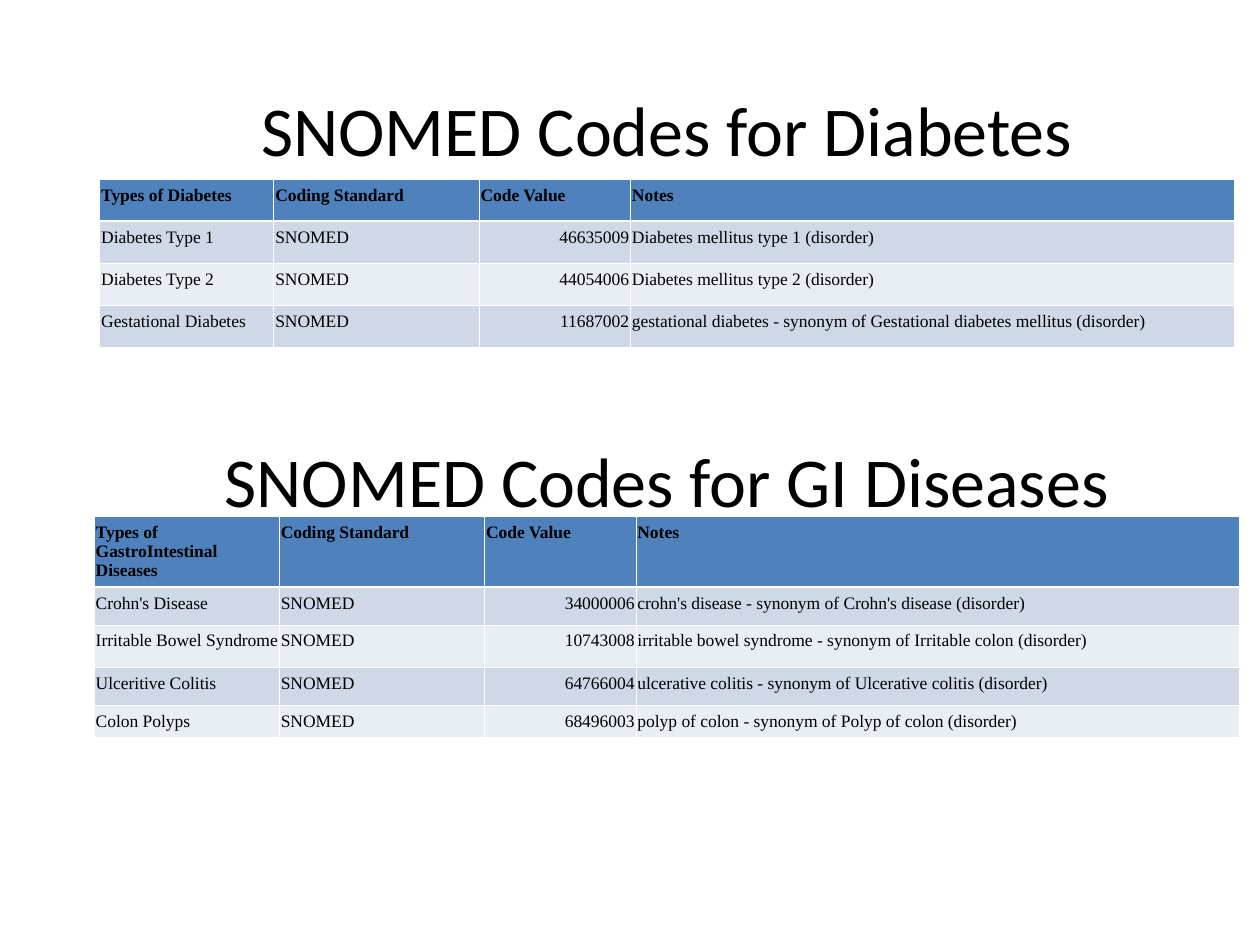
from dataclasses import dataclass

from lxml.etree import SubElement
from pptx import Presentation
from pptx.dml.color import RGBColor
from pptx.enum.text import MSO_ANCHOR, MSO_AUTO_SIZE, PP_ALIGN
from pptx.oxml.ns import qn
from pptx.util import Cm, Pt

BLACK = RGBColor(0x00, 0x00, 0x00)
WHITE = RGBColor(0xFF, 0xFF, 0xFF)
BLUE = RGBColor(0x4F, 0x81, 0xBD)
BANDS = (RGBColor(0xE9, 0xED, 0xF4), RGBColor(0xD0, 0xD8, 0xE8))
THIN, THICK = Pt(0.45), Pt(1.47)
HEADS = ("Coding Standard", "Code Value", "Notes")
SYSTEM = "SNOMED"
CODE_COL = 2
WIDTHS = (4.14, 3.05, 12.17)


@dataclass
class Code:
    name: str
    value: str
    note: str


@dataclass
class Group:
    title: str
    top: float
    head: str
    left: float
    grid_top: float
    first: float
    heights: tuple[float, ...]
    codes: list[Code]


GROUPS = [
    Group("SNOMED Codes for Diabetes", 2.03, "Types of Diabetes",
          2.01, 3.61, 3.51, (0.85,) * 4, [
              Code("Diabetes Type 1", "46635009", "Diabetes mellitus type 1 (disorder)"),
              Code("Diabetes Type 2", "44054006", "Diabetes mellitus type 2 (disorder)"),
              Code("Gestational Diabetes", "11687002",
                   "gestational diabetes - synonym of Gestational diabetes mellitus (disorder)"),
          ]),
    Group("SNOMED Codes for GI Diseases", 9.09, "Types of GastroIntestinal Diseases",
          1.9, 10.41, 3.73, (1.3, 0.76, 0.86, 0.76, 0.58), [
              Code("Crohn's Disease", "34000006",
                   "crohn's disease - synonym of Crohn's disease (disorder)"),
              Code("Irritable Bowel Syndrome", "10743008",
                   "irritable bowel syndrome - synonym of Irritable colon (disorder)"),
              Code("Ulceritive Colitis", "64766004",
                   "ulcerative colitis - synonym of Ulcerative colitis (disorder)"),
              Code("Colon Polyps", "68496003",
                   "polyp of colon - synonym of Polyp of colon (disorder)"),
          ]),
]


def write(frame, text: str, face: str, size: int, align, bold: bool = False) -> None:
    para = frame.paragraphs[0]
    para.alignment = align
    run = para.add_run()
    run.text = text
    font = run.font
    font.name, font.size, font.bold = face, Pt(size), bold
    font.color.rgb = BLACK


def draw_title(shape, group: Group) -> None:
    shape.left, shape.top = Cm(3.28), Cm(group.top)
    shape.width, shape.height = Cm(20.32), Cm(1.14)
    frame = shape.text_frame
    frame.word_wrap = True
    frame.auto_size = MSO_AUTO_SIZE.NONE
    frame.vertical_anchor = MSO_ANCHOR.MIDDLE
    write(frame, group.title, "Calibri", 40, PP_ALIGN.CENTER)


def edge(cell, row: int) -> None:
    """Rule the cell in white, with a thick line under the head row."""
    props = cell._tc.get_or_add_tcPr()
    sides = {
        "a:lnL": THIN,
        "a:lnR": THIN,
        "a:lnT": THICK if row == 1 else THIN,
        "a:lnB": THICK if row == 0 else THIN,
    }
    for tag, width in sides.items():
        line = SubElement(props, qn(tag), w=str(int(width)))
        fill = SubElement(line, qn("a:solidFill"))
        SubElement(fill, qn("a:srgbClr"), val=str(WHITE))


def draw_cell(cell, text: str, row: int, col: int) -> None:
    edge(cell, row)
    cell.fill.solid()
    cell.fill.fore_color.rgb = BANDS[row % 2] if row else BLUE
    cell.margin_left = cell.margin_right = Cm(0.03)
    cell.margin_top = cell.margin_bottom = Cm(0.13)
    align = PP_ALIGN.RIGHT if row and col == CODE_COL else PP_ALIGN.LEFT
    write(cell.text_frame, text, "Times New Roman", 10, align, row == 0)


def draw_table(slide, group: Group) -> None:
    rows = [(group.head, *HEADS)]
    rows += [(code.name, SYSTEM, code.value, code.note) for code in group.codes]
    widths = (group.first, *WIDTHS)
    table = slide.shapes.add_table(
        len(rows), len(widths), Cm(group.left), Cm(group.grid_top),
        Cm(sum(widths)), Cm(sum(group.heights))).table
    for col, width in zip(table.columns, widths):
        col.width = Cm(width)
    for row, height in zip(table.rows, group.heights):
        row.height = Cm(height)
    for r, texts in enumerate(rows):
        for c, text in enumerate(texts):
            draw_cell(table.cell(r, c), text, r, c)


def main() -> None:
    deck = Presentation()
    deck.slide_width, deck.slide_height = Cm(25.4), Cm(19.05)
    slide = deck.slides.add_slide(deck.slide_layouts[5])
    for i, group in enumerate(GROUPS):
        shape = slide.shapes.add_textbox(0, 0, 0, 0) if i else slide.shapes.title
        draw_title(shape, group)
        draw_table(slide, group)
    deck.save("out.pptx")


if __name__ == "__main__":
    main()
